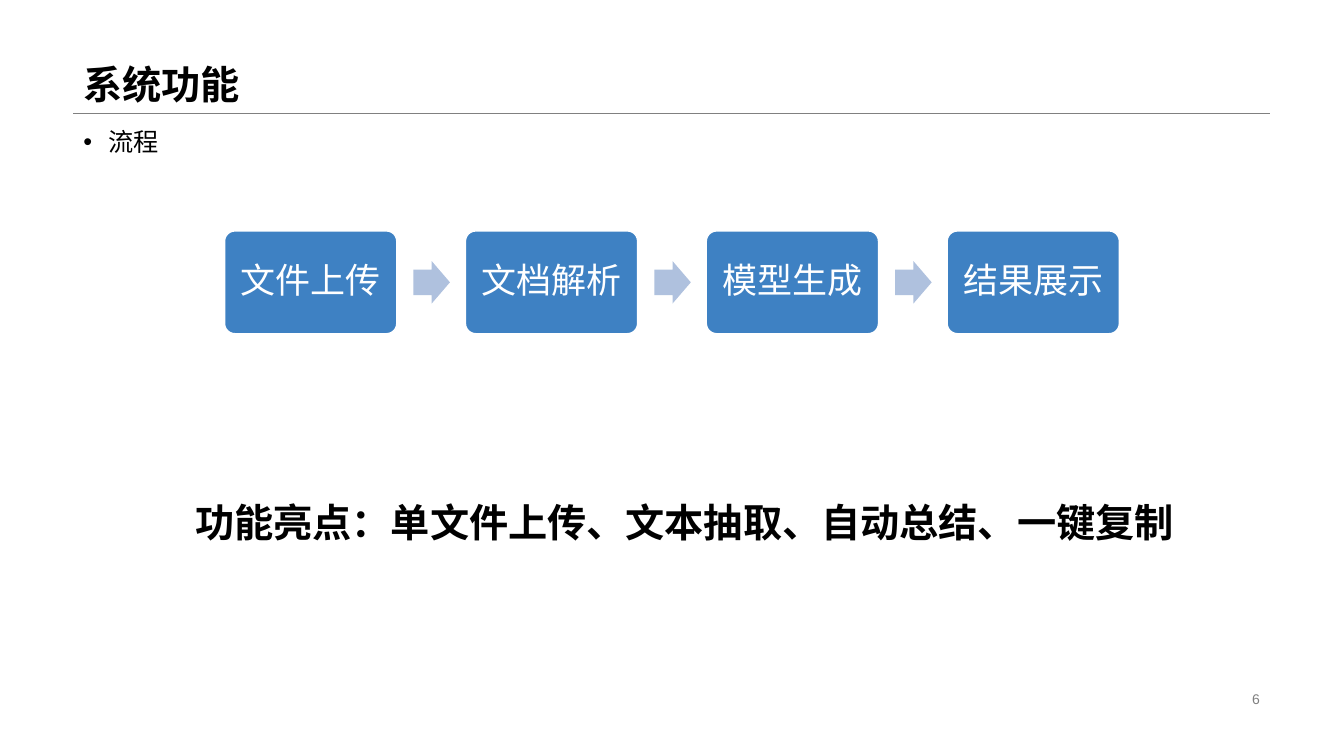
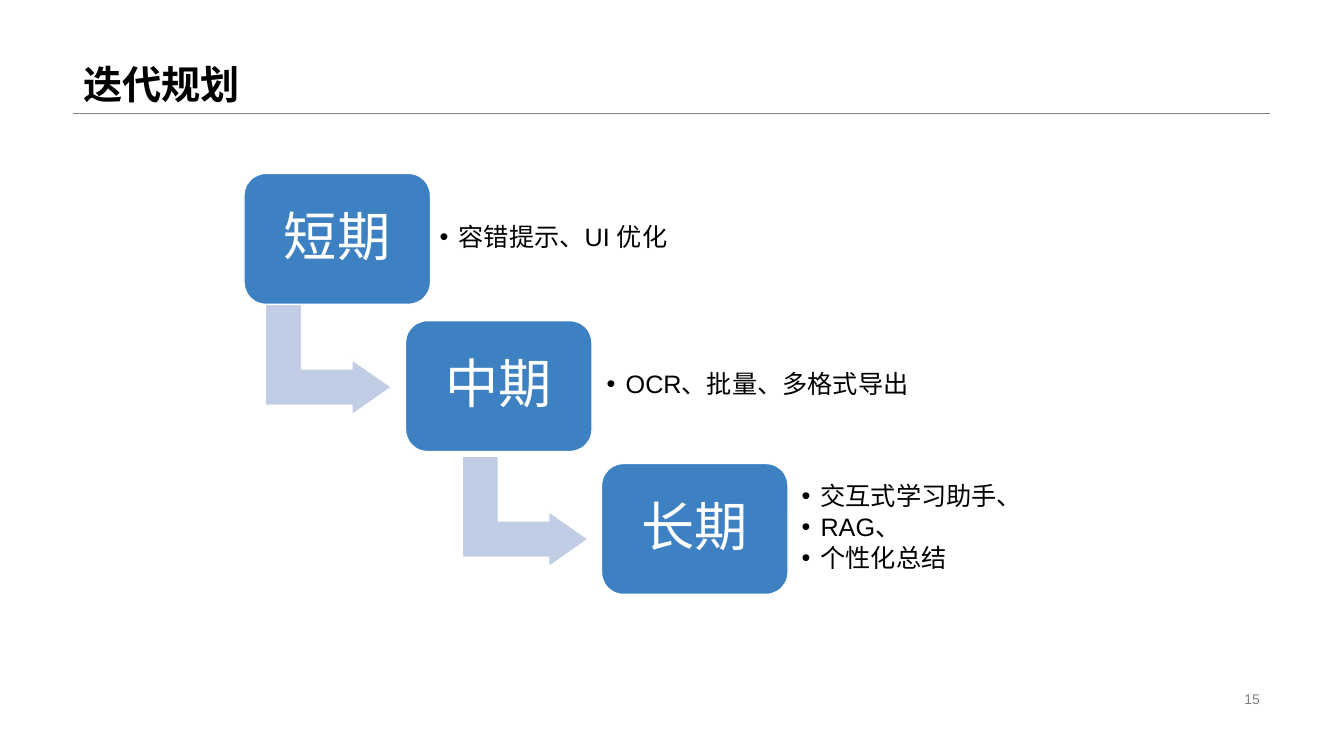
from lxml import etree
from pptx import Presentation
from pptx.dml.color import RGBColor
from pptx.enum import shapes, text
from pptx.oxml import ns
from pptx.util import Cm, Pt

BLACK = RGBColor(0x00, 0x00, 0x00)
WHITE = RGBColor(0xFF, 0xFF, 0xFF)
GREY = RGBColor(0x80, 0x80, 0x80)
BLUE = RGBColor(0x3E, 0x81, 0xC3)
FLOW_ARROW = RGBColor(0xAF, 0xC1, 0xDE)
STAGE_ARROW = RGBColor(0xC0, 0xCD, 0xE4)

FONT = "Arial"
MARGIN, CONTENT_WIDTH, HEADER_HEIGHT = 1.85, 30.15, 2.84

STEPS = ["文件上传", "文档解析", "模型生成", "结果展示"]
# Stage name, box left and top, notes left, notes width, notes
STAGES = [
    ("短期", 6.15, 4.37, 10.9, 7.62, ["容错提示、UI 优化"]),
    ("中期", 10.22, 8.08, 15.11, 15.04, ["OCR、批量、多格式导出"]),
    ("长期", 15.16, 11.68, 20.02, 9.73, ["交互式学习助手、", "RAG、", "个性化总结"]),
]
STAGE_ARROWS = [(6.88, 7.47), (11.84, 11.3)]


def add_bullet(paragraph, indent):
    props = paragraph._p.get_or_add_pPr()
    props.set("marL", str(Cm(indent)))
    props.set("indent", str(-Cm(indent)))
    etree.SubElement(props, ns.qn("a:buFont"), typeface=FONT)
    etree.SubElement(props, ns.qn("a:buChar"), char="•")


def write(shape, lines, size, color=BLACK, bold=False, align=text.PP_ALIGN.LEFT,
          anchor=text.MSO_ANCHOR.TOP, spacing=0.9, before=0, after=0,
          bullet_indent=None, inset=None):
    """Fill a shape with one paragraph per line; the inset is in centimetres."""
    frame = shape.text_frame
    frame.word_wrap = True
    frame.auto_size = text.MSO_AUTO_SIZE.NONE
    frame.vertical_anchor = anchor
    if inset is not None:
        frame.margin_left = frame.margin_right = Cm(inset)
        frame.margin_top = frame.margin_bottom = Cm(inset)
    for index, line in enumerate(lines):
        paragraph = frame.add_paragraph() if index else frame.paragraphs[0]
        paragraph.alignment = align
        paragraph.line_spacing = spacing
        paragraph.space_before, paragraph.space_after = Pt(before), Pt(after)
        if bullet_indent:
            add_bullet(paragraph, bullet_indent)
        run = paragraph.add_run()
        run.text = line
        font = run.font
        font.name, font.size, font.bold = FONT, Pt(size), bold
        font.color.rgb = color


def add_text(slide, left, top, width, height, lines, size, **format_options):
    box = slide.shapes.add_textbox(Cm(left), Cm(top), Cm(width), Cm(height))
    write(box, lines, size, **format_options)


def add_block(slide, preset, left, top, width, height, fill, adjustments, line=None):
    block = slide.shapes.add_shape(preset, Cm(left), Cm(top), Cm(width), Cm(height))
    block.shadow.inherit = False
    block.fill.solid()
    block.fill.fore_color.rgb = fill
    if line is None:
        block.line.fill.background()
    else:
        block.line.color.rgb = line
        block.line.width = Pt(1)
    for index, value in enumerate(adjustments):
        block.adjustments[index] = value
    return block


def add_label_box(slide, label, left, top, width, height, rounding, size, inset):
    box = add_block(slide, shapes.MSO_SHAPE.ROUNDED_RECTANGLE, left, top, width, height,
                    BLUE, [rounding], WHITE)
    write(box, [label], size, color=WHITE, align=text.PP_ALIGN.CENTER,
          anchor=text.MSO_ANCHOR.MIDDLE, inset=inset)


def add_rule(slide):
    rule = slide.shapes.add_connector(
        shapes.MSO_CONNECTOR.STRAIGHT, Cm(MARGIN), Cm(HEADER_HEIGHT),
        Cm(MARGIN + CONTENT_WIDTH), Cm(HEADER_HEIGHT))
    rule.line.color.rgb = GREY
    rule.line.width = Pt(0.25)
    etree.SubElement(rule._element.spPr, ns.qn("a:effectLst"))


def add_titled_slide(deck, heading, number):
    """Add a slide with the shared title, rule and page number."""
    slide = deck.slides.add_slide(deck.slide_layouts.get_by_name("Title Only"))
    title = slide.shapes.title
    title.left, title.top = Cm(MARGIN), Cm(0)
    title.width, title.height = Cm(CONTENT_WIDTH), Cm(HEADER_HEIGHT)
    write(title, [heading], 28, bold=True, anchor=text.MSO_ANCHOR.BOTTOM)
    add_rule(slide)
    add_text(slide, 23.92, 17.32, 8.08, 0.58, [str(number)], 10, color=GREY,
             align=text.PP_ALIGN.RIGHT, anchor=text.MSO_ANCHOR.MIDDLE, spacing=1)
    return slide


def add_process(slide):
    left, pitch, width = 5.66, 6.07, 4.34
    for index, step in enumerate(STEPS):
        step_left = left + index * pitch
        if index:
            add_block(slide, shapes.MSO_SHAPE.RIGHT_ARROW, step_left - 1.31, 6.58,
                      0.92, 1.07, FLOW_ARROW, [0.6, 0.5])
        add_label_box(slide, step, step_left, 5.82, width, 2.59, 0.1, 25, 0.25)


def add_roadmap(slide):
    for left, top in STAGE_ARROWS:
        arrow = add_block(slide, shapes.MSO_SHAPE.BENT_UP_ARROW, left, top, 2.79, 3.18,
                          STAGE_ARROW, [0.328, 0.25, 0.358], WHITE)
        arrow.rotation = 90
    for stage, left, top, notes_left, notes_width, notes in STAGES:
        add_label_box(slide, stage, left, top, 4.7, 3.3, 0.167, 38, 0.4)
        add_text(slide, notes_left, top + 0.3, notes_width, 2.67, notes, 18, after=2.7,
                 anchor=text.MSO_ANCHOR.MIDDLE, bullet_indent=0.48, inset=0.18)


def main():
    deck = Presentation()
    deck.slide_width, deck.slide_height = Cm(33.87), Cm(19.05)

    functions = add_titled_slide(deck, "系统功能", 6)
    add_text(functions, MARGIN, 3.15, CONTENT_WIDTH, 13.92, ["流程"], 18,
             before=10, bullet_indent=0.64)
    add_process(functions)
    add_text(functions, 4.67, 12.42, 26.62, 2.24,
             ["功能亮点：单文件上传、文本抽取、自动总结、一键复制"], 28, bold=True, spacing=1)

    roadmap = add_titled_slide(deck, "迭代规划", 15)
    add_roadmap(roadmap)

    deck.save("out.pptx")


if __name__ == "__main__":
    main()
